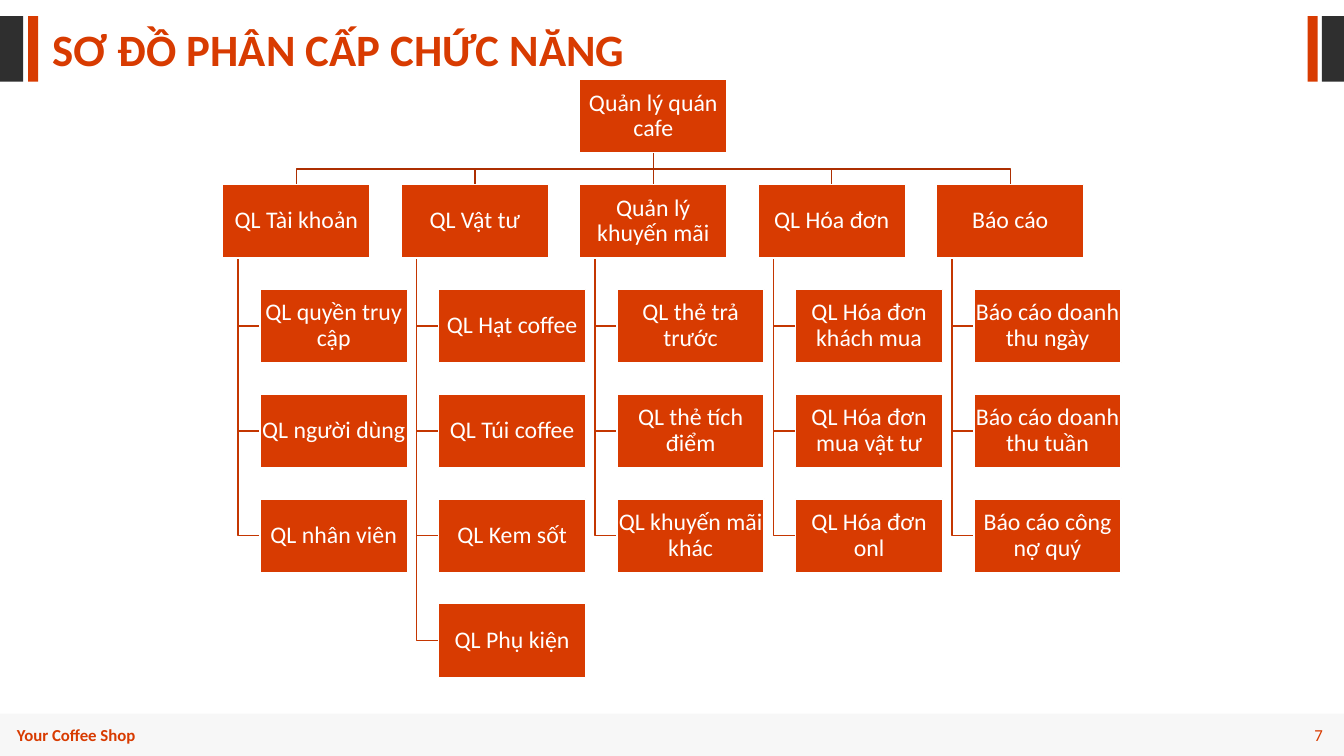
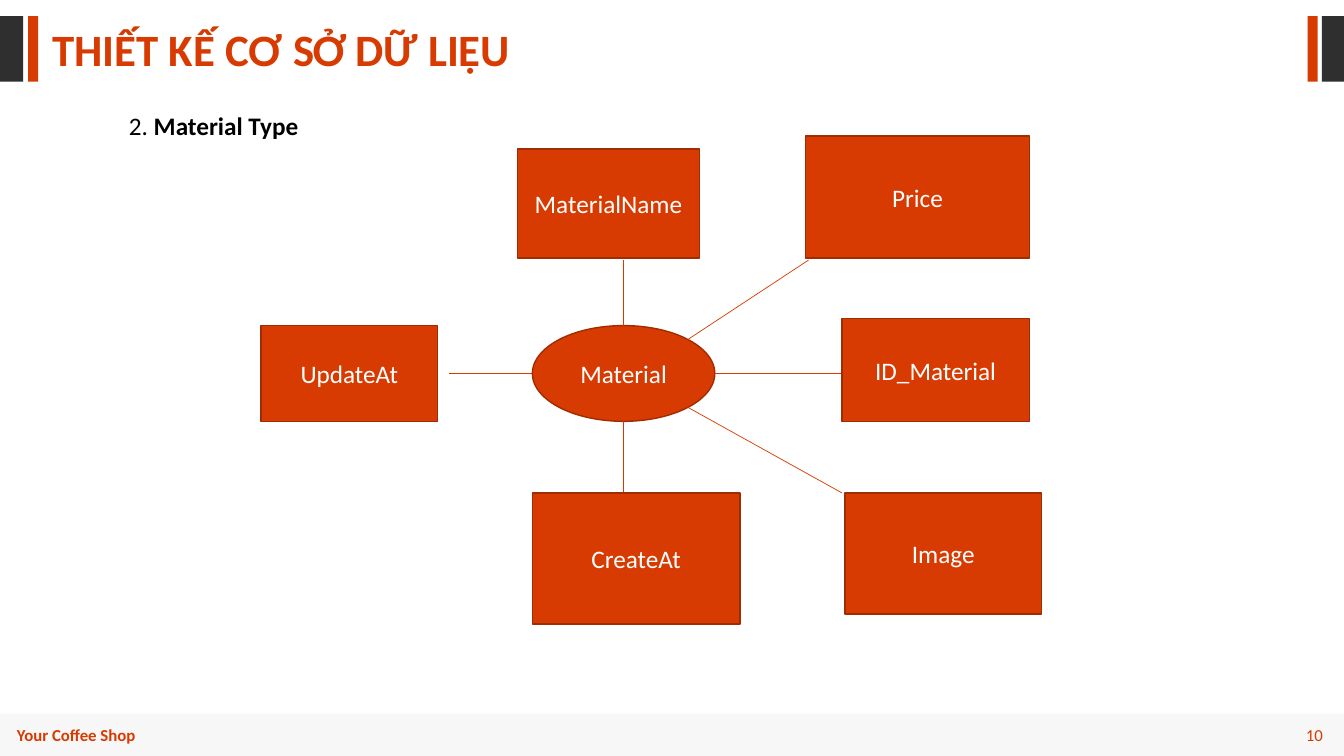
from pptx import Presentation
from pptx.dml.color import RGBColor
from pptx.enum.shapes import MSO_CONNECTOR, MSO_SHAPE
from pptx.enum.text import MSO_ANCHOR, PP_ALIGN
from pptx.oxml.ns import qn
from pptx.oxml.xmlchemy import OxmlElement
from pptx.util import Inches, Pt

RECT, OVAL = MSO_SHAPE.RECTANGLE, MSO_SHAPE.OVAL
STRAIGHT = MSO_CONNECTOR.STRAIGHT
LEFT, MID, RIGHT = PP_ALIGN.LEFT, PP_ALIGN.CENTER, PP_ALIGN.RIGHT
TOP, CENTER = MSO_ANCHOR.TOP, MSO_ANCHOR.MIDDLE

# Colours and fonts
ORANGE = RGBColor(0xD8, 0x3B, 0x01)
RUST = RGBColor(0xA0, 0x2C, 0x01)
TRUNK = RGBColor(0xAD, 0x2F, 0x01)
TWIG = RGBColor(0xC4, 0x36, 0x01)
DARK = RGBColor(0x2F, 0x2F, 0x2F)
GREY = RGBColor(0xE6, 0xE6, 0xE6)
WHITE = RGBColor(0xFF, 0xFF, 0xFF)
BLACK = RGBColor(0, 0, 0)
FONT = "Calibri"

TITLE = dict(size=Pt(32), bold=True, color=ORANGE)
BRAND = dict(size=Pt(12), bold=True, color=ORANGE)
PAGE = dict(size=Pt(12), color=ORANGE)
HEAD = dict(size=Pt(18), color=BLACK)
NODE = dict(size=Pt(17), color=WHITE)
ITEM = dict(size=Pt(18), color=WHITE)

# Function tree: grid in inches
BOX_W, BOX_H = 1.46, 0.73
ROOT_X, ROOT_Y = 5.75, 0.79
COL, ROW = 1.77, 1.04
INDENT, STEM = 0.37, 0.15
ROOT = "Quản lý quán cafe"
TREE = [
    ("QL Tài khoản", ["QL quyền truy cập", "QL người dùng", "QL nhân viên"]),
    ("QL Vật tư", ["QL Hạt coffee", "QL Túi coffee", "QL Kem sốt",
                   "QL Phụ kiện"]),
    ("Quản lý khuyến mãi", ["QL thẻ trả trước", "QL thẻ tích điểm",
                            "QL khuyến mãi khác"]),
    ("QL Hóa đơn", ["QL Hóa đơn khách mua", "QL Hóa đơn mua vật tư",
                    "QL Hóa đơn onl"]),
    ("Báo cáo", ["Báo cáo doanh thu ngày", "Báo cáo doanh thu tuần",
                 "Báo cáo công nợ quý"]),
]

# Material entity: box, then the two ends of its line
HUB = (5.28, 3.23, 1.81, 0.95)
FIELDS = [
    ("MaterialName", (5.13, 1.48, 1.81, 1.08), (6.18, 3.23), (6.18, 2.58)),
    ("ID_Material", (8.35, 3.16, 1.86, 1.02), (7.09, 3.7), (8.35, 3.7)),
    ("UpdateAt", (2.59, 3.23, 1.75, 0.95), (5.28, 3.7), (4.45, 3.7)),
    ("CreateAt", (5.28, 4.89, 2.06, 1.3), (6.18, 4.18), (6.18, 4.89)),
    ("Price", (7.99, 1.35, 2.22, 1.21), (6.82, 3.37), (8.02, 2.58)),
    ("Image", (8.38, 4.89, 1.95, 1.2), (6.82, 4.04), (8.35, 4.89)),
]


def write(frame, runs, align=LEFT, anchor=TOP, space=1.0):
    """Fill a text frame with (text, format) runs in one paragraph."""
    frame.word_wrap = True
    frame.vertical_anchor = anchor
    para = frame.paragraphs[0]
    para.alignment, para.line_spacing = align, space
    for text, style in runs:
        run = para.add_run()
        run.text = text
        run.font.name = FONT
        for key, value in style.items():
            if key == "color":
                run.font.color.rgb = value
            else:
                setattr(run.font, key, value)


def label(slide, at, runs, **layout):
    box = slide.shapes.add_textbox(*map(Inches, at))
    write(box.text_frame, runs, **layout)


def block(slide, at, fill, edge=None, kind=RECT):
    shape = slide.shapes.add_shape(kind, *map(Inches, at))
    shape.shadow.inherit = False
    shape.fill.solid()
    shape.fill.fore_color.rgb = fill
    if edge is None:
        shape.line.fill.background()
    else:
        shape.line.color.rgb = edge
        shape.line.width = Pt(1)
    return shape


def fade(shape, percent):
    color = shape._element.spPr.find(qn("a:solidFill"))[0]
    alpha = OxmlElement("a:alpha")
    alpha.set("val", str(percent * 1000))
    color.append(alpha)


def link(slide, start, end, color, width):
    ends = map(Inches, (*start, *end))
    line = slide.shapes.add_connector(STRAIGHT, *ends)
    line.line.color.rgb = color
    line.line.width = Pt(width)
    line._element.spPr.append(OxmlElement("a:effectLst"))
    return line


def bend(slide, points, color):
    """Draw an open line through points with square corners."""
    spots = [(Inches(x), Inches(y)) for x, y in points]
    build = slide.shapes.build_freeform(*spots[0])
    build.add_line_segments(spots[1:], close=False)
    shape = build.convert_to_shape()
    shape.shadow.inherit = False
    shape.fill.background()
    shape.line.color.rgb = color
    shape.line.width = Pt(1)


def node(slide, x, y, text):
    shape = block(slide, (x, y, BOX_W, BOX_H), ORANGE, WHITE)
    frame = shape.text_frame
    for side in ("left", "top", "right", "bottom"):
        setattr(frame, f"margin_{side}", Inches(0.01))
    write(frame, [(text, NODE)], MID, CENTER, 0.9)
    return shape


def item(slide, at, text, kind=RECT):
    shape = block(slide, at, ORANGE, RUST, kind)
    write(shape.text_frame, [(text, ITEM)], MID, CENTER)


def page(deck, title, number):
    """Start a slide with its side bars, title and footer."""
    slide = deck.slides.add_slide(deck.slide_layouts[6])
    for x, width, color in ((0, 0.23, DARK), (0.28, 0.1, ORANGE),
                            (12.97, 0.1, ORANGE), (13.11, 0.22, DARK)):
        block(slide, (x, 0.16, width, 0.65), color)
    fade(block(slide, (0, 7.08, 13.33, 0.42), GREY), 30)
    label(slide, (0.07, 7.14, 1.84, 0.3), [("Your Coffee Shop", BRAND)])
    label(slide, (12.35, 7.14, 0.87, 0.3), [(str(number), PAGE)],
          align=RIGHT, anchor=CENTER)
    label(slide, (0.42, 0.27, 6.67, 0.54), [(title, TITLE)], space=0.8)
    return slide


def branch(slide, x, y, text, leaves):
    """Draw a group box with its leaves hung below it."""
    spine = x + STEM
    for i, leaf in enumerate(leaves, 1):
        top = y + i * ROW
        half = top + BOX_H / 2
        bend(slide, [(spine, y + BOX_H), (spine, half), (x + INDENT, half)],
             TWIG)
        node(slide, x + INDENT, top, leaf)
    return node(slide, x, y, text)


def tree(slide):
    mid, foot = ROOT_X + BOX_W / 2, ROOT_Y + BOX_H
    top = ROOT_Y + ROW
    bus = (foot + top) / 2
    root = node(slide, ROOT_X, ROOT_Y, ROOT)
    for i, (text, leaves) in enumerate(TREE):
        shift = (i - len(TREE) // 2) * COL
        group = branch(slide, ROOT_X + shift, top, text, leaves)
        if shift:
            bend(slide, [(mid, foot), (mid, bus), (mid + shift, bus),
                         (mid + shift, top)], TRUNK)
        else:
            line = link(slide, (mid, foot), (mid, top), TRUNK, 1)
            line.begin_connect(root, 2)
            line.end_connect(group, 0)


def entity(slide):
    label(slide, (1.18, 1.05, 3.78, 0.4),
          [("2. ", HEAD), ("Material Type", dict(HEAD, bold=True))])
    item(slide, HUB, "Material", OVAL)
    for text, at, start, end in FIELDS:
        link(slide, start, end, ORANGE, 0.5)
        item(slide, at, text)


def main():
    deck = Presentation()
    deck.slide_width, deck.slide_height = Inches(13.33), Inches(7.5)
    tree(page(deck, "SƠ ĐỒ PHÂN CẤP CHỨC NĂNG", 7))
    entity(page(deck, "THIẾT KẾ CƠ SỞ DỮ LIỆU", 10))
    deck.save("out.pptx")


if __name__ == "__main__":
    main()
